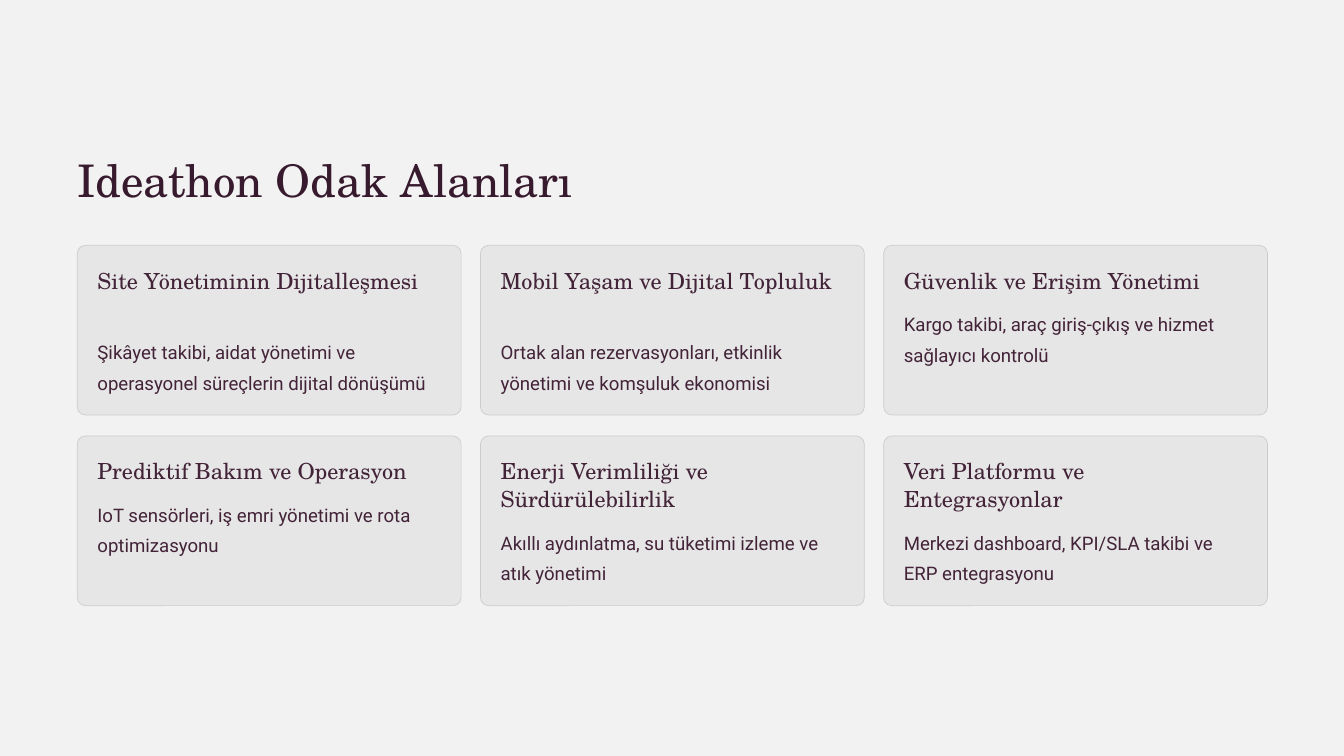
import pptx
import pptx.dml.color
import pptx.enum.shapes
import pptx.enum.text
import pptx.util

Inches = pptx.util.Inches
Pt = pptx.util.Pt
RGBColor = pptx.dml.color.RGBColor

PAPER = RGBColor(0xF2, 0xF2, 0xF2)
CARD_FILL = RGBColor(0xE6, 0xE6, 0xE6)
CARD_LINE = RGBColor(0xCC, 0xCC, 0xCC)
TITLE_INK = RGBColor(0x37, 0x1A, 0x2D)
CARD_INK = RGBColor(0x43, 0x23, 0x38)
SERIF = "TeX Gyre Schola"
SANS = "Roboto"

COLUMNS = 3
GRID_LEFT, GRID_TOP = 0.92, 2.92
CARD_WIDTH, CARD_HEIGHT = 4.57, 2.02
STEP_X, STEP_Y = 4.8, 2.27
PADDING = 0.24
TEXT_GAP = 0.14

# Heading, lines reserved for the heading, description
FOCUS_AREAS = [
    ("Site Yönetiminin Dijitalleşmesi", 2,
     "Şikâyet takibi, aidat yönetimi ve operasyonel süreçlerin dijital dönüşümü"),
    ("Mobil Yaşam ve Dijital Topluluk", 2,
     "Ortak alan rezervasyonları, etkinlik yönetimi ve komşuluk ekonomisi"),
    ("Güvenlik ve Erişim Yönetimi", 1,
     "Kargo takibi, araç giriş-çıkış ve hizmet sağlayıcı kontrolü"),
    ("Prediktif Bakım ve Operasyon", 1,
     "IoT sensörleri, iş emri yönetimi ve rota optimizasyonu"),
    ("Enerji Verimliliği ve Sürdürülebilirlik", 2,
     "Akıllı aydınlatma, su tüketimi izleme ve atık yönetimi"),
    ("Veri Platformu ve Entegrasyonlar", 2,
     "Merkezi dashboard, KPI/SLA takibi ve ERP entegrasyonu"),
]


def add_text(page, text, left, top, width, height, *, font, size, color, spacing, wrap=True):
    box = page.shapes.add_textbox(Inches(left), Inches(top), Inches(width), Inches(height))
    frame = box.text_frame
    frame.word_wrap = wrap
    frame.vertical_anchor = pptx.enum.text.MSO_ANCHOR.TOP
    frame.margin_left = frame.margin_right = frame.margin_top = frame.margin_bottom = 0
    para = frame.paragraphs[0]
    para.line_spacing = Pt(spacing)
    span = para.add_run()
    span.text = text
    span.font.name = font
    span.font.size = Pt(size)
    span.font.color.rgb = color


def add_card(page, left, top, width, height, heading, heading_lines, description):
    # Rounded panel
    panel = page.shapes.add_shape(
        pptx.enum.shapes.MSO_SHAPE.ROUNDED_RECTANGLE,
        Inches(left), Inches(top), Inches(width), Inches(height))
    panel.adjustments[0] = 0.048
    panel.shadow.inherit = False
    panel.fill.solid()
    panel.fill.fore_color.rgb = CARD_FILL
    panel.line.color.rgb = CARD_LINE
    panel.line.width = Pt(0.6)

    # Heading, with the description below it
    text_left, text_width = left + PADDING, width - 2 * PADDING
    heading_top = top + PADDING
    heading_height = heading_lines * 24 / 72
    add_text(page, heading, text_left, heading_top, text_width, heading_height,
             font=SERIF, size=19, color=CARD_INK, spacing=24)
    add_text(page, description, text_left, heading_top + heading_height + TEXT_GAP,
             text_width, 0.73, font=SANS, size=16, color=CARD_INK, spacing=26)


def add_focus_grid(page, left, top):
    for index, area in enumerate(FOCUS_AREAS):
        row, column = divmod(index, COLUMNS)
        add_card(page, left + column * STEP_X, top + row * STEP_Y,
                 CARD_WIDTH, CARD_HEIGHT, *area)


def main():
    deck = pptx.Presentation()
    deck.slide_width, deck.slide_height = Inches(16), Inches(9)
    page = deck.slides.add_slide(deck.slide_layouts[6])
    page.background.fill.solid()
    page.background.fill.fore_color.rgb = PAPER

    # Title
    add_text(page, "Ideathon Odak Alanları", GRID_LEFT, 1.79, 6.26, 0.67,
             font=SERIF, size=38.5, color=TITLE_INK, spacing=48.5, wrap=False)
    # Focus areas
    add_focus_grid(page, GRID_LEFT, GRID_TOP)
    deck.save("out.pptx")


if __name__ == "__main__":
    main()
